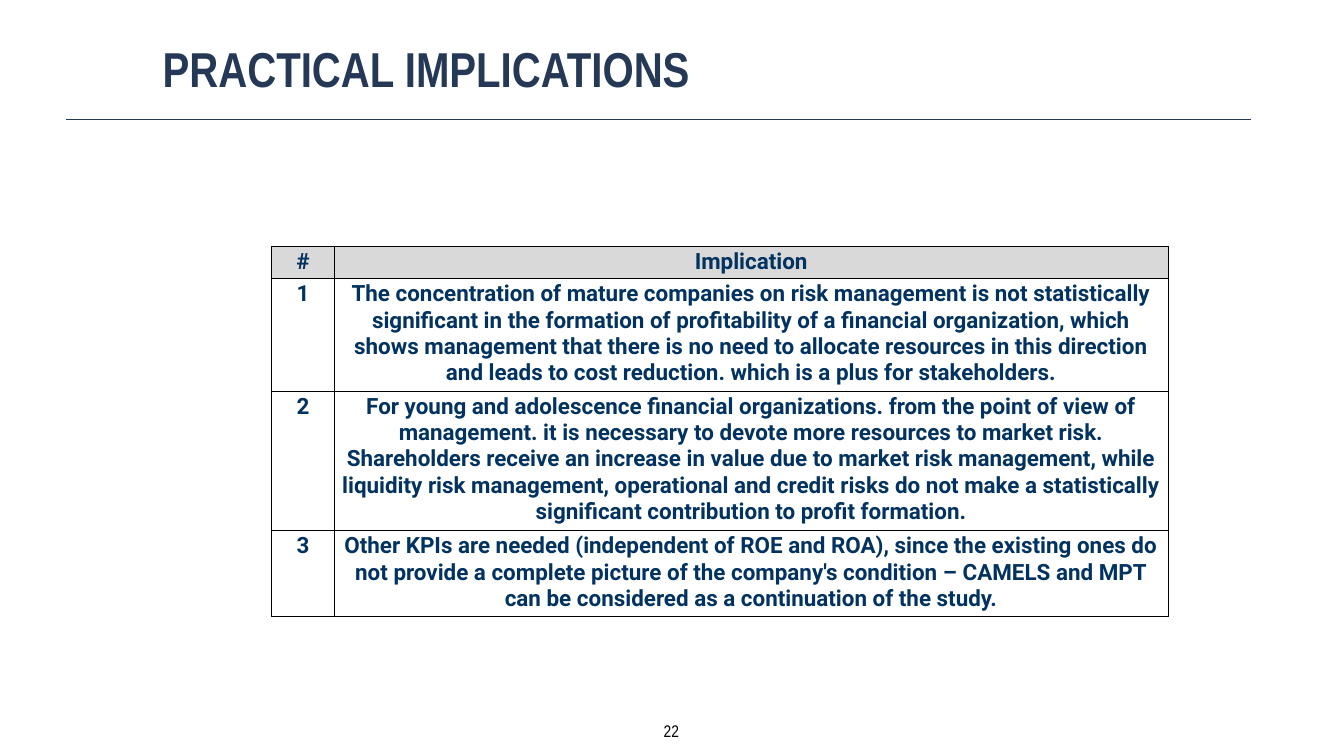
from dataclasses import dataclass

from lxml.etree import SubElement
from pptx import Presentation
from pptx.dml.color import RGBColor
from pptx.enum.shapes import MSO_CONNECTOR
from pptx.enum.text import MSO_AUTO_SIZE, PP_ALIGN as Align
from pptx.oxml.ns import qn
from pptx.util import Cm, Pt

COLORS = {
    "title": "253957",
    "table_text": "013260",
    "header_fill": "D9D9D9",
    "black": "000000",
}
TITLE_FONT = "Arial Narrow"
TABLE_FONT = "Roboto"


@dataclass
class Style:
    font: str
    size: float
    color: str
    bold: bool = False
    align: Align = Align.CENTER


@dataclass
class Label:
    text: str
    left: float
    top: float
    width: float
    height: float
    style: Style
    wrap: bool = True


@dataclass
class TableRow:
    number: str
    implication: str
    height: float


LABELS = [
    Label("PRACTICAL IMPLICATIONS", 8, 1.73, 59.74, 6.43,
          Style(TITLE_FONT, 70, "title", True, Align.LEFT)),
    Label("22", 33.15, 36.14, 1.37, 1.42,
          Style(TITLE_FONT, 24, "black"), wrap=False),
]
TABLE_STYLE = Style(TABLE_FONT, 32, "table_text", True)
COLUMN_WIDTHS = (3.18, 41.99)
ROWS = [
    TableRow("#", "Implication", 1.55),
    TableRow(
        "1",
        "The concentration of mature companies on risk management is not "
        "statistically significant in the formation of profitability of a "
        "financial organization, which shows management that there is no need "
        "to allocate resources in this direction and leads to cost reduction. "
        "which is a plus for stakeholders.",
        5.54),
    TableRow(
        "2",
        "For young and adolescence financial organizations. from the point of "
        "view of management. it is necessary to devote more resources to market "
        "risk. Shareholders receive an increase in value due to market risk "
        "management, while liquidity risk management, operational and credit "
        "risks do not make a statistically significant contribution to profit "
        "formation.",
        6.86),
    TableRow(
        "3",
        "Other KPIs are needed (independent of ROE and ROA), since the existing "
        "ones do not provide a complete picture of the company's condition – "
        "CAMELS and MPT can be considered as a continuation of the study.",
        4.2),
]


def rgb(name: str) -> RGBColor:
    return RGBColor.from_string(COLORS[name])


def write(frame, text: str, style: Style) -> None:
    frame.text = text
    para = frame.paragraphs[0]
    para.alignment = style.align
    for span in para.runs:
        span.font.name = style.font
        span.font.size = Pt(style.size)
        span.font.bold = style.bold
        span.font.color.rgb = rgb(style.color)


def add_label(page, label: Label) -> None:
    box = page.shapes.add_textbox(Cm(label.left), Cm(label.top),
                                  Cm(label.width), Cm(label.height))
    frame = box.text_frame
    frame.margin_left = frame.margin_right = Cm(0.2)
    frame.margin_top = frame.margin_bottom = Cm(0.2)
    frame.word_wrap = label.wrap
    if not label.wrap:
        frame.auto_size = MSO_AUTO_SIZE.SHAPE_TO_FIT_TEXT
    write(frame, label.text, label.style)


def add_rule(page, left: float, right: float, top: float) -> None:
    rule = page.shapes.add_connector(MSO_CONNECTOR.STRAIGHT, Cm(left), Cm(top),
                                     Cm(right), Cm(top))
    rule.line.color.rgb = rgb("title")
    rule.line.width = Pt(1)
    SubElement(rule._element.spPr, qn("a:effectLst"))


def add_borders(cell) -> None:
    properties = cell._tc.get_or_add_tcPr()
    for position, side in enumerate(("lnL", "lnR", "lnT", "lnB")):
        border = properties.makeelement(qn(f"a:{side}"), {"w": str(Pt(1))})
        fill = SubElement(border, qn("a:solidFill"))
        SubElement(fill, qn("a:srgbClr"), val=COLORS["black"])
        properties.insert(position, border)  # borders come before the fill


def add_implications(page, left: float, top: float) -> None:
    table = page.shapes.add_table(
        len(ROWS), len(COLUMN_WIDTHS), Cm(left), Cm(top),
        Cm(sum(COLUMN_WIDTHS)), Cm(sum(row.height for row in ROWS))).table
    table.horz_banding = False
    for column, width in zip(table.columns, COLUMN_WIDTHS):
        column.width = Cm(width)
    for index, row in enumerate(ROWS):
        table.rows[index].height = Cm(row.height)
        for column, text in enumerate((row.number, row.implication)):
            cell = table.cell(index, column)
            write(cell.text_frame, text, TABLE_STYLE)
            if index == 0:
                cell.fill.solid()
                cell.fill.fore_color.rgb = rgb("header_fill")
            else:
                cell.fill.background()
            add_borders(cell)


def main() -> None:
    deck = Presentation()
    deck.slide_width, deck.slide_height = Cm(67.74), Cm(38.1)
    page = deck.slides.add_slide(deck.slide_layouts[6])

    # Title and page number
    for label in LABELS:
        add_label(page, label)

    # Line under the title
    add_rule(page, 3.33, 63.07, 5.99)

    # Table of implications
    add_implications(page, 13.69, 12.42)

    deck.save("out.pptx")


if __name__ == "__main__":
    main()
